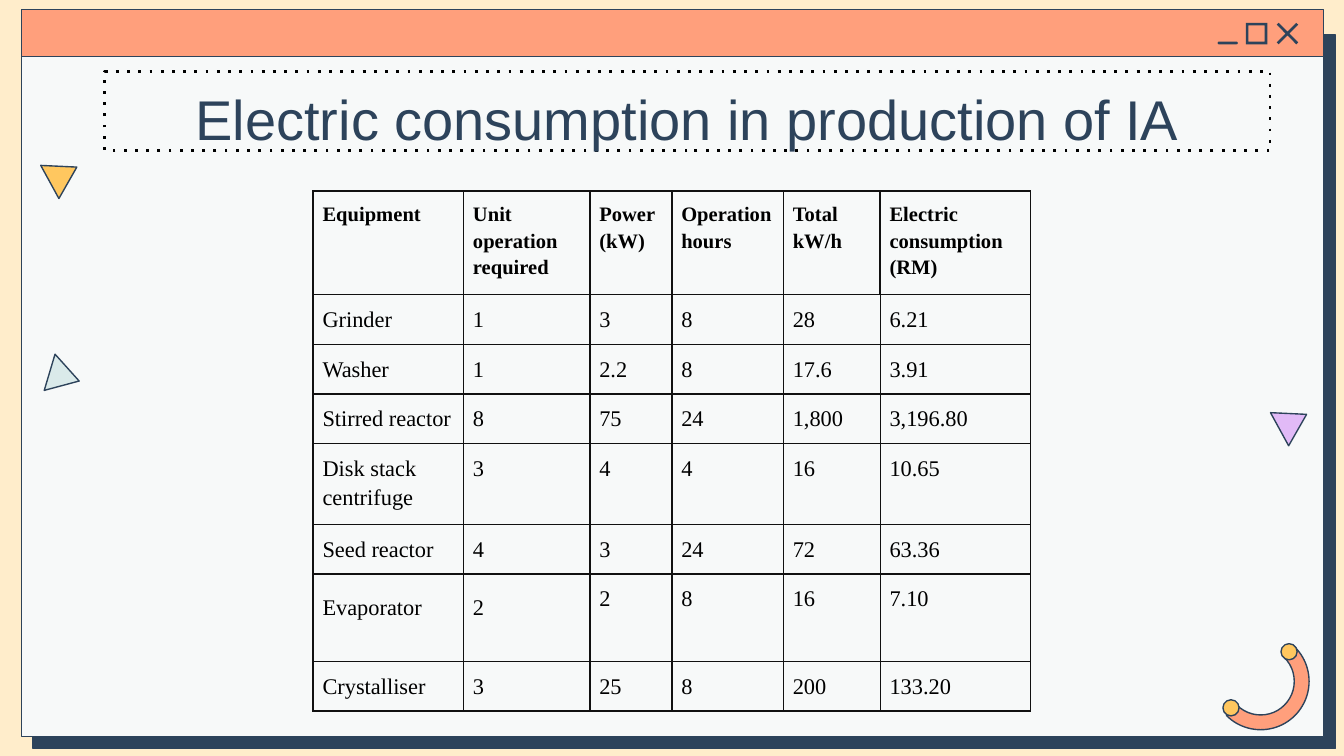
from dataclasses import dataclass

from lxml import etree
from pptx import Presentation
from pptx import util as u
from pptx.dml.color import RGBColor
from pptx.enum import shapes, text
from pptx.oxml import parse_xml
from pptx.oxml.ns import nsdecls, qn


@dataclass(frozen=True)
class Theme:
    navy: str = "2D435B"
    cream: str = "FFEDCB"
    paper: str = "F7F9F9"
    coral: str = "FF9F7C"
    yellow: str = "FFC75F"
    lilac: str = "E1BAF7"
    mint: str = "DAEAEA"
    black: str = "000000"
    grid: str = "111111"
    title_font: str = "Arial"
    table_font: str = "Times New Roman"
    title_size: int = 30
    header_size: int = 11
    body_size: int = 12
    outline: float = 0.75


THEME = Theme()
WIDTH = 10
HEIGHT = WIDTH * 9 / 16
SHAPE = shapes.MSO_SHAPE

COLUMNS = [1.12, 0.94, 0.61, 0.83, 0.72, 1.12]
ROW, TALL_ROW = 0.31, 0.65
ROWS = [TALL_ROW, ROW, ROW, ROW, 0.5, ROW, TALL_ROW, ROW]
CONSUMPTION = [
    ["Equipment", "Unit operation required", "Power (kW)", "Operation hours",
     "Total kW/h", "Electric consumption (RM)"],
    ["Grinder", "1", "3", "8", "28", "6.21"],
    ["Washer", "1", "2.2", "8", "17.6", "3.91"],
    ["Stirred reactor", "8", "75", "24", "1,800", "3,196.80"],
    ["Disk stack centrifuge", "3", "4", "4", "16", "10.65"],
    ["Seed reactor", "4", "3", "24", "72", "63.36"],
    ["Evaporator", "2", "2", "8", "16", "7.10"],
    ["Crystalliser", "3", "25", "8", "200", "133.20"],
]
LOOSE_CELLS = {(6, 0), (6, 1)}


def color(value):
    return RGBColor.from_string(value)


def paint(shape, fill, line=THEME.navy):
    shape.shadow.inherit = False
    shape.fill.solid()
    shape.fill.fore_color.rgb = color(fill)
    if line:
        shape.line.color.rgb = color(line)
        shape.line.width = u.Pt(THEME.outline)
    else:
        shape.line.fill.background()
    return shape


def add_preset(slide, preset, box, fill, line=THEME.navy):
    shape = slide.shapes.add_shape(preset, *map(u.Inches, box))
    return paint(shape, fill, line)


def add_polygon(slide, box, shares, fill, line=THEME.navy):
    """Closed outline whose corners are shares of the box."""
    left, top, width, height = box
    points = [(u.Inches(left + x * width), u.Inches(top + y * height)) for x, y in shares]
    builder = slide.shapes.build_freeform(*points[0])
    builder.add_line_segments(points[1:], close=True)
    return paint(builder.convert_to_shape(), fill, line)


def add_window(slide, box):
    left, top, width, height = box
    bar_height = 0.35

    # Page with an offset solid shadow
    page = add_preset(slide, SHAPE.RECTANGLE,
                      (left, top + 0.1, width, height - 0.1), THEME.paper)
    effects = page._element.spPr.find(qn("a:effectLst"))
    shadow = etree.SubElement(effects, qn("a:outerShdw"), dist=str(u.Pt(9)),
                              dir=str(46 * 60000), algn="bl", rotWithShape="0")
    etree.SubElement(shadow, qn("a:srgbClr"), val=THEME.navy)

    # Title bar
    add_preset(slide, SHAPE.RECTANGLE, (left, top, width, bar_height), THEME.coral)

    # Minimise, maximise and close buttons
    size, stroke, pitch = 0.16, 0.02, 0.22
    first, button_top = left + width - 0.8, top + 0.1
    minimise = add_preset(slide, SHAPE.ROUNDED_RECTANGLE,
                          (first + 0.01, button_top + size - stroke, size - 0.01, stroke),
                          THEME.navy, None)
    minimise.adjustments[0] = 0.5
    maximise = add_preset(slide, SHAPE.FRAME, (first + pitch, button_top, size, size),
                          THEME.navy, None)
    maximise.adjustments[0] = stroke / size
    near, far, middle = 0.09, 0.91, 0.5
    cross = [(near, 0), (middle, middle - near), (far, 0), (1, near),
             (middle + near, middle), (1, far), (far, 1), (middle, middle + near),
             (near, 1), (0, far), (middle - near, middle), (0, near)]
    add_polygon(slide, (first + 2 * pitch + 0.01, button_top, size, size),
                cross, THEME.navy, None)


def add_arc(slide, box):
    """Half ring with a round knob at each end."""
    left, top, width, height = box
    ring = 0.11
    arc = add_preset(slide, SHAPE.BLOCK_ARC, box, THEME.coral)
    for index, value in enumerate((315 * 0.6, 135 * 0.6, ring / width)):
        arc.adjustments[index] = value
    knob = 0.12
    for x, y in ((0.71, 0.11), (0.11, 0.69)):
        add_preset(slide, SHAPE.OVAL,
                   (left + x * width, top + y * height, knob, knob), THEME.yellow)


def add_triangle(slide, box, rotation, fill):
    triangle = add_polygon(slide, box, [(0, 0), (0.1, 1), (1, 0.43)], fill)
    triangle.rotation = rotation


def add_title(slide, box):
    title = slide.shapes.add_textbox(*map(u.Inches, box))
    title.line.color.rgb = color(THEME.black)
    title.line.width = u.Pt(1.5)
    outline = title._element.spPr.find(qn("a:ln"))
    etree.SubElement(outline, qn("a:prstDash"), val="dot")
    frame = title.text_frame
    frame.word_wrap = True
    frame.vertical_anchor = text.MSO_ANCHOR.TOP
    frame.margin_left = frame.margin_right = u.Inches(0.1)
    frame.margin_top = frame.margin_bottom = u.Inches(0.1)
    paragraph = frame.paragraphs[0]
    paragraph.text = "Electric consumption in production of IA"
    paragraph.alignment = text.PP_ALIGN.CENTER
    set_font(paragraph.font, THEME.title_font, THEME.title_size, THEME.navy)


def set_font(font, name, size, ink, bold=False):
    font.name, font.size, font.bold = name, u.Pt(size), bold
    font.color.rgb = color(ink)


def set_borders(cell, width):
    properties = cell._tc.get_or_add_tcPr()
    for index, side in enumerate("LRTB"):
        properties.insert(index, parse_xml(
            f'<a:ln{side} {nsdecls("a")} w="{u.Pt(width)}"><a:solidFill>'
            f'<a:srgbClr val="{THEME.grid}"/></a:solidFill></a:ln{side}>'))


def add_consumption_table(slide, left, top):
    box = (left, top, sum(COLUMNS), sum(ROWS))
    table = slide.shapes.add_table(len(ROWS), len(COLUMNS), *map(u.Inches, box)).table
    table.first_row = table.horz_banding = False
    for column, width in zip(table.columns, COLUMNS):
        column.width = u.Inches(width)
    for row, height in zip(table.rows, ROWS):
        row.height = u.Inches(height)

    for r, values in enumerate(CONSUMPTION):
        header = r == 0
        for c, value in enumerate(values):
            cell = table.cell(r, c)
            cell.fill.background()
            cell.margin_left = cell.margin_right = u.Inches(0.07)
            cell.margin_top = cell.margin_bottom = u.Inches(0.07)
            set_borders(cell, 1 if header else 0.83)
            paragraph = cell.text_frame.paragraphs[0]
            paragraph.line_spacing = 1.15
            if (r, c) in LOOSE_CELLS:
                paragraph.alignment = text.PP_ALIGN.JUSTIFY
                paragraph.line_spacing = 1.5
                paragraph.space_after = u.Pt(12)
            # Row heights follow the font of the run
            run = paragraph.add_run()
            run.text = value
            set_font(run.font, THEME.table_font,
                     THEME.header_size if header else THEME.body_size,
                     THEME.black, header)


def main():
    presentation = Presentation()
    presentation.slide_width, presentation.slide_height = u.Inches(WIDTH), u.Inches(HEIGHT)
    slide = presentation.slides.add_slide(presentation.slide_layouts[6])
    slide.background.fill.solid()
    slide.background.fill.fore_color.rgb = color(THEME.cream)

    # Window and ornaments
    add_window(slide, (0.16, 0.07, 9.69, 5.41))
    add_arc(slide, (9.02, 4.71, 0.72, 0.72))
    for left, top, rotation, fill in ((9.5, 3.01, 336.1, THEME.lilac),
                                      (0.35, 2.67, 21.4, THEME.mint),
                                      (0.35, 1.17, 336.1, THEME.yellow)):
        add_triangle(slide, (left, top, 0.24, 0.28), rotation, fill)

    # Content
    add_title(slide, (0.78, 0.53, 8.67, 0.59))
    add_consumption_table(slide, 2.33, 1.42)
    presentation.save("out.pptx")


if __name__ == "__main__":
    main()
